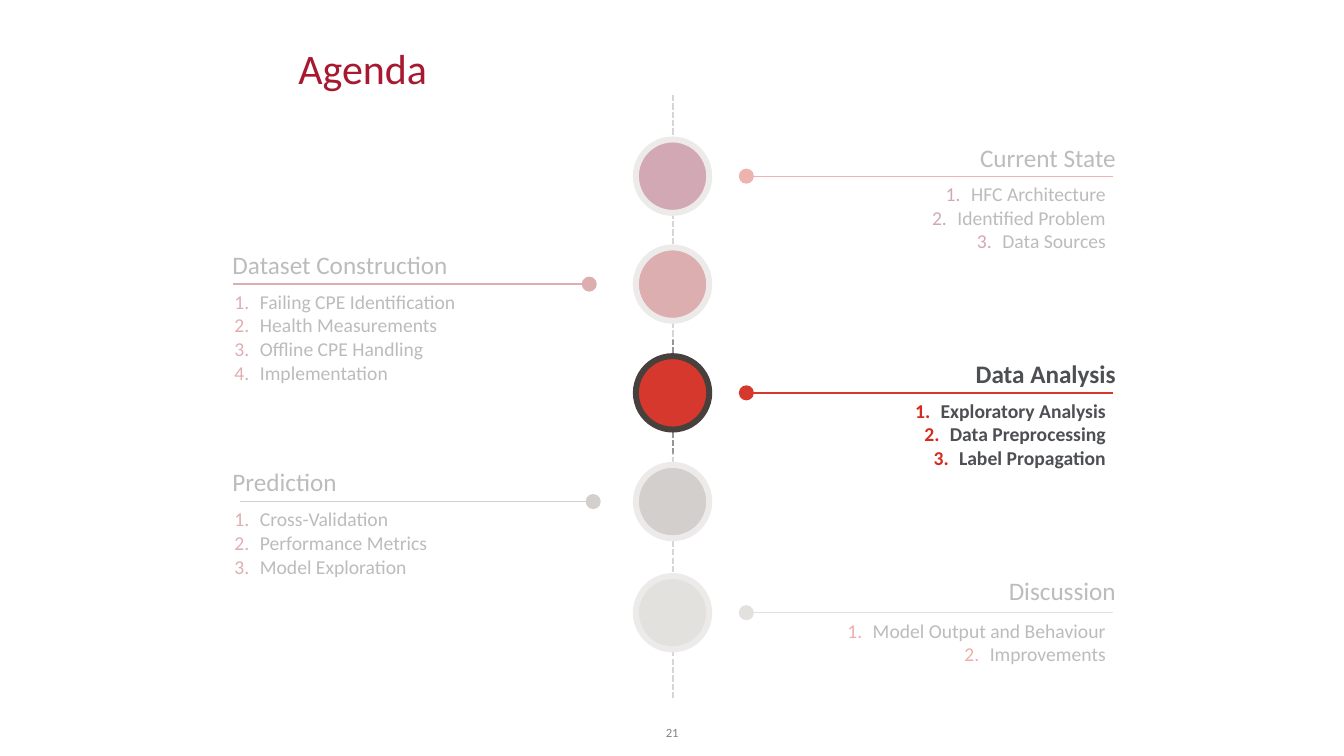
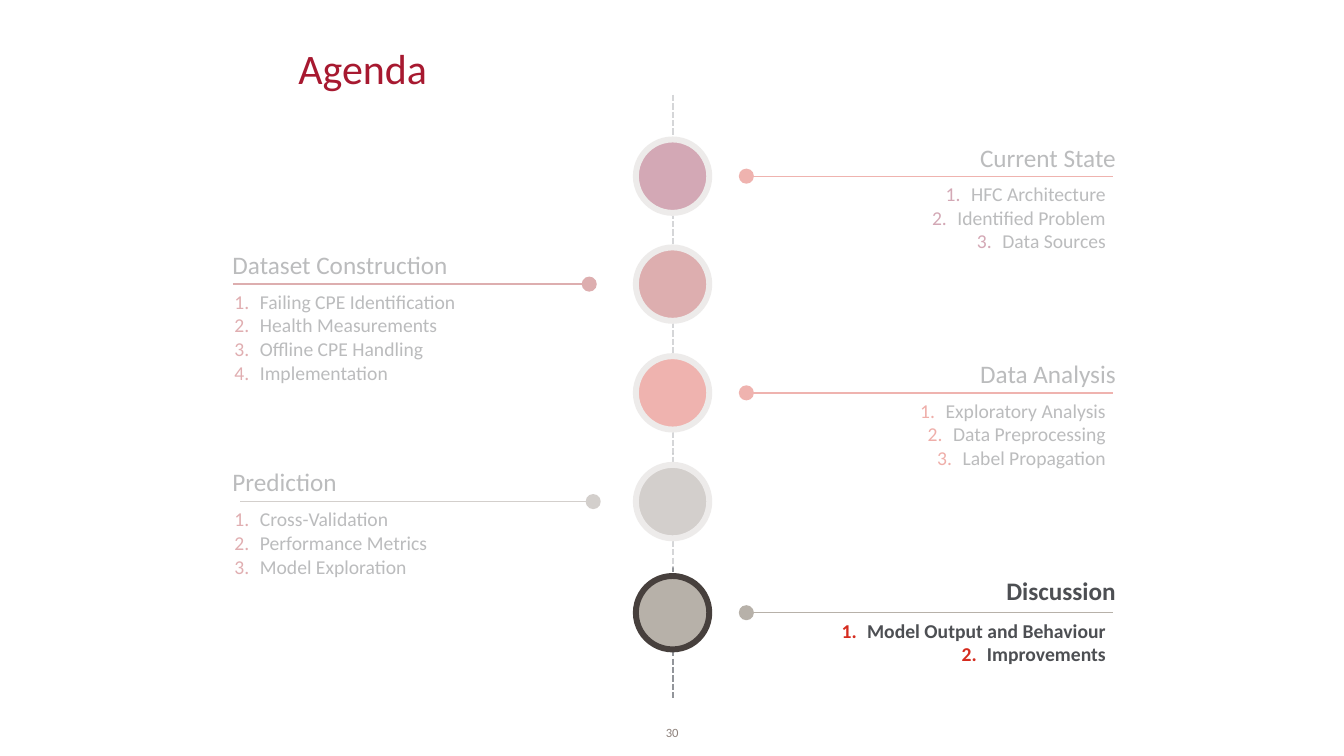
from lxml import etree
from pptx import Presentation
from pptx import util as u
from pptx.dml.color import RGBColor
from pptx.enum import dml, shapes, text
from pptx.oxml import ns

Cm, Pt = u.Cm, u.Pt
FONT = "Calibri"
TITLE_RED, NUMBER_GREY, TEXT_GREY = "A71930", "8D817B", "4D4F53"
RING, ACTIVE_RING, AXIS_GREY = "D1CDCA", "47403D", "92959A"
LEFT, RIGHT, CENTER = text.PP_ALIGN.LEFT, text.PP_ALIGN.RIGHT, text.PP_ALIGN.CENTER
AXIS_X, CIRCLE, DOT = 16.95, 1.85, 0.38

# Topic, side, line y, heading rise, line start and end, dot left,
# circle colour, line colour, number colour, items
TOPICS = [
    ("Current State", RIGHT, 4.44, 0.97, 18.85, 28.04, 18.62, "8D1B3D", "D6382D", "8D1B3D",
     ["HFC Architecture", "Identified Problem", "Data Sources"]),
    ("Dataset Construction", LEFT, 7.16, 1.01, 5.87, 14.66, 14.66, "A82B2F", "A82B2F", "AF2B32",
     ["Failing CPE Identification", "Health Measurements", "Offline CPE Handling",
      "Implementation"]),
    ("Data Analysis", RIGHT, 9.9, 0.99, 18.85, 28.04, 18.62, "D6382D", "D6382D", "D52B1E",
     ["Exploratory Analysis", "Data Preprocessing", "Label Propagation"]),
    ("Prediction", LEFT, 12.64, 1.01, 6.05, 14.88, 14.76, "8D817A", "8D817A", "AF2B32",
     ["Cross-Validation", "Performance Metrics", "Model Exploration"]),
    ("Discussion", RIGHT, 15.44, 1.06, 18.85, 28.04, 18.62, "B7B1A9", "B7B1A9", "D52B1E",
     ["Model Output and Behaviour", "Improvements"]),
]

# Left and width of the heading and list boxes on each side
HEADING_BOX = {LEFT: (5.61, 9.4), RIGHT: (18.44, 9.93)}
LIST_BOX = {LEFT: (5.66, 7.09), RIGHT: (20.68, 7.44)}

# Columns (left, width) and the bands (column, top, bottom) that fade inactive topics
LEFT_COLUMN, AXIS_COLUMN, RIGHT_COLUMN = (5.61, 9.86), (15.48, 2.94), (18.42, 12.78)
SHARED_VEILS = [(LEFT_COLUMN, 6.22, 18.06), (RIGHT_COLUMN, 2.39, 8.56)]
AGENDAS = [
    ("21", "Data Analysis", [(AXIS_COLUMN, 11.43, 18.06), (AXIS_COLUMN, 2.39, 8.56),
                             (RIGHT_COLUMN, 11.89, 18.06)]),
    ("30", "Discussion", [(AXIS_COLUMN, 11.43, 14.3), (AXIS_COLUMN, 2.39, 11.43),
                          (RIGHT_COLUMN, 8.56, 14.27)]),
]


def set_color(fill, color):
    fill.solid()
    fill.fore_color.rgb = RGBColor.from_string(color)


def add_text(slide, box, lines, size, color, align=LEFT, bold=False, number_color=None,
             framed=False):
    frame = slide.shapes.add_textbox(*[Cm(length) for length in box]).text_frame
    frame.word_wrap = True
    if framed:
        frame.margin_left = frame.margin_right = frame.margin_top = frame.margin_bottom = 0
        frame.vertical_anchor = text.MSO_ANCHOR.BOTTOM
    else:
        frame.auto_size = text.MSO_AUTO_SIZE.SHAPE_TO_FIT_TEXT
    frame.text = "\n".join(lines)
    for paragraph in frame.paragraphs:
        paragraph.alignment = align
        if number_color:
            properties = paragraph._p.get_or_add_pPr()
            properties.set("marL", str(Cm(0.64)))
            properties.set("indent", str(-Cm(0.64)))
            bullet_color = etree.SubElement(properties, ns.qn("a:buClr"))
            etree.SubElement(bullet_color, ns.qn("a:srgbClr"), val=number_color)
            etree.SubElement(properties, ns.qn("a:buAutoNum"), type="arabicPeriod")
        for run in paragraph.runs:
            run.font.name, run.font.size, run.font.bold = FONT, Pt(size), bold
            set_color(run.font.fill, color)


presentation = Presentation()
presentation.slide_width, presentation.slide_height = Cm(33.87), Cm(19.05)

for page_number, active_topic, veils in AGENDAS:
    slide = presentation.slides.add_slide(presentation.slide_layouts[6])

    # Title and page number
    add_text(slide, (16.18, 18.06, 1.52, 0.58), [page_number], 9, NUMBER_GREY, CENTER, framed=True)
    add_text(slide, (7.52, 0.53, 25.17, 1.8), ["Agenda"], 30, TITLE_RED, framed=True)

    # Dashed axis, then one line per topic
    lines = [(AXIS_X, 2.39, AXIS_X, 17.58, AXIS_GREY, 1.5)]
    lines += [(start, y, end, y, color, 1)
              for _, _, y, _, start, end, _, _, color, _, _ in TOPICS]
    for *ends, color, width in lines:
        line = slide.shapes.add_connector(shapes.MSO_CONNECTOR.STRAIGHT,
                                          *[Cm(length) for length in ends])
        set_color(line.line.fill, color)
        line.line.width = Pt(width)
        if color == AXIS_GREY:
            line.line.dash_style = dml.MSO_LINE.SQUARE_DOT
        etree.SubElement(line._element.spPr, ns.qn("a:effectLst"))

    # Circles, dots, headings and numbered lists
    for (topic, side, y, rise, _, _, dot_left, circle_color, line_color, number_color,
         items) in TOPICS:
        active = topic == active_topic
        for left, size, color in [(AXIS_X - CIRCLE / 2, CIRCLE, circle_color),
                                  (dot_left, DOT, line_color)]:
            circle = slide.shapes.add_shape(shapes.MSO_SHAPE.OVAL, Cm(left), Cm(y - size / 2),
                                            Cm(size), Cm(size))
            circle.shadow.inherit = False
            set_color(circle.fill, color)
            if size == CIRCLE:
                set_color(circle.line.fill, ACTIVE_RING if active else RING)
                circle.line.width = Pt(4.25)
            else:
                circle.line.fill.background()
        left, width = HEADING_BOX[side]
        add_text(slide, (left, y - rise, width, 1.02), [topic], 18, TEXT_GREY, side, active)
        left, width = LIST_BOX[side]
        add_text(slide, (left, y + 0.02, width, 0.25 + 0.6 * len(items)), items, 14, TEXT_GREY,
                 side, active, number_color)

    # Translucent white veils over the inactive topics
    for (left, width), top, bottom in SHARED_VEILS + veils:
        veil = slide.shapes.add_shape(shapes.MSO_SHAPE.RECTANGLE, Cm(left), Cm(top),
                                      Cm(width), Cm(bottom - top))
        veil.shadow.inherit = False
        set_color(veil.fill, "FFFFFF")
        veil.line.fill.background()
        white = veil._element.spPr.find(".//" + ns.qn("a:srgbClr"))
        etree.SubElement(white, ns.qn("a:alpha"), val="62000")

presentation.save("out.pptx")
